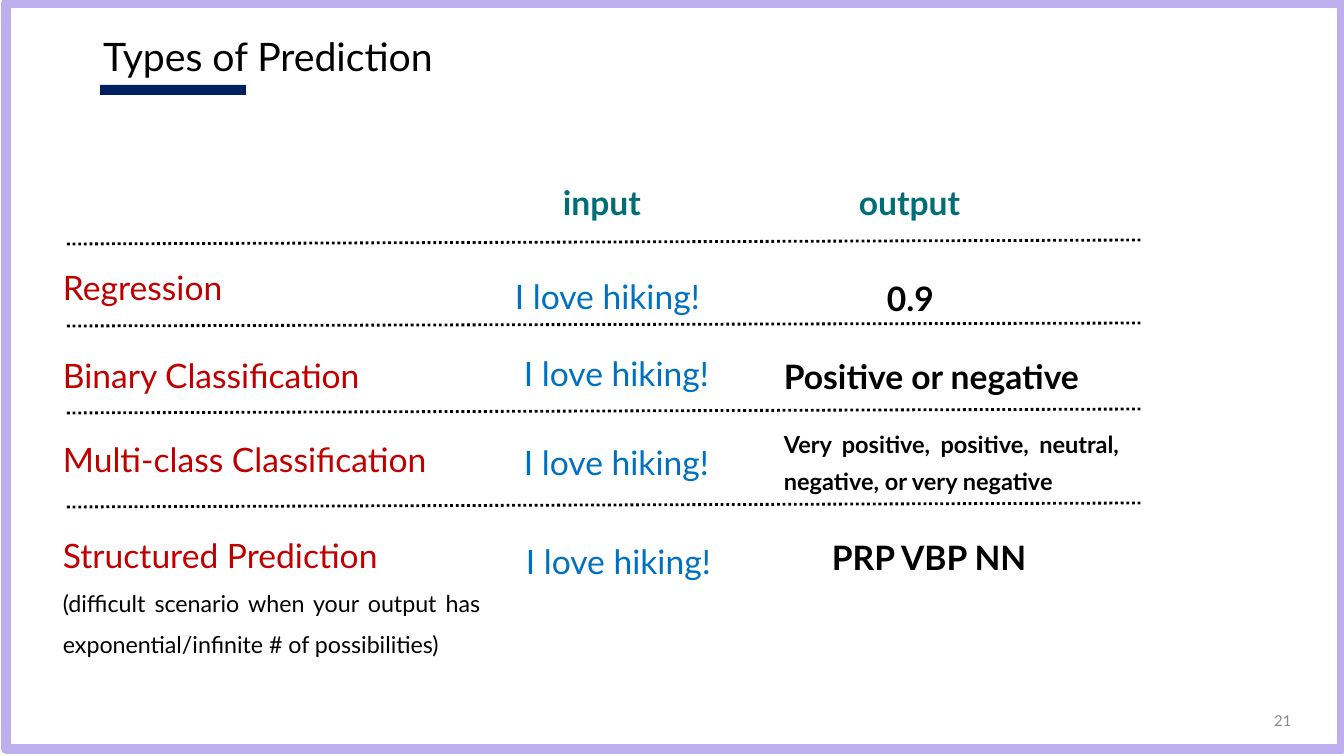
"""Build the "Types of Prediction" slide."""
from lxml.etree import SubElement
from pptx import Presentation
from pptx.dml.color import RGBColor
from pptx.enum.dml import MSO_LINE_DASH_STYLE as DASH
from pptx.enum.shapes import MSO_CONNECTOR, MSO_SHAPE
from pptx.enum.text import MSO_ANCHOR as ANCHOR, PP_ALIGN as ALIGN
from pptx.oxml.ns import qn
from pptx.util import Emu, Pt

PX = 914400 / 100.8
BLACK, WHITE, RED, BLUE, TEAL = "000000", "FFFFFF", "C00000", "0070C0", "006D77"


def px(*lengths):
    return [Emu(round(length * PX)) for length in lengths]


def write(shape, text, size, color, bold=False, align=ALIGN.JUSTIFY, spacing=1.5, font="Lato"):
    shape.text_frame.word_wrap = True
    line = shape.text_frame.paragraphs[0]
    line.text = text
    line.alignment, line.line_spacing = align, spacing
    line.font.name, line.font.size, line.font.bold = font, Pt(size), bold
    line.font.color.rgb = RGBColor.from_string(color)


deck = Presentation()
deck.slide_width, deck.slide_height = px(1344, 756)
slide = deck.slides.add_slide(deck.slide_layouts[5])
shapes = slide.shapes

frame = shapes.add_shape(MSO_SHAPE.RECTANGLE, *px(6, 3, 1336, 746))
frame.line.color.rgb = RGBColor.from_string("BDAFEE")
frame.line.width = Pt(7)
underline = shapes.add_shape(MSO_SHAPE.RECTANGLE, *px(100, 85, 146, 10))
underline.line.fill.background()
for block, color in ((frame, WHITE), (underline, "002060")):
    block.shadow.inherit = False
    block.fill.solid()
    block.fill.fore_color.rgb = RGBColor.from_string(color)

title = shapes.title
title.left, title.top, title.width, title.height = px(93, 33, 451, 70)
title.text_frame.vertical_anchor = ANCHOR.TOP
write(title, "Types of Prediction", 28, BLACK, align=ALIGN.LEFT, spacing=0.9)
shapes._spTree.append(title._element)

page = shapes.add_textbox(*px(999, 700, 302, 40))
page.text_frame.vertical_anchor = ANCHOR.MIDDLE
write(page, "21", 12, "8C8C8C", align=ALIGN.RIGHT, spacing=1.0, font="Calibri")

SENTENCE = "I love hiking!"
cells = [
    (553, 157, 104, "input", TEAL, True),
    (849, 157, 140, "output", TEAL, True),
    (53, 242, 192, "Regression", RED, False),
    (505, 251, 224, SENTENCE, BLUE, False),
    (877, 253, 82, "0.9", BLACK, True),
    (53, 330, 356, "Binary Classification", RED, False),
    (514, 328, 224, SENTENCE, BLUE, False),
    (774, 331, 370, "Positive or negative", BLACK, True),
    (53, 414, 499, "Multi-class Classification", RED, False),
    (514, 417, 224, SENTENCE, BLUE, False),
    (53, 510, 355, "Structured Prediction", RED, False),
    (516, 516, 224, SENTENCE, BLUE, False),
    (822, 512, 224, "PRP VBP NN", BLACK, True),
]
for left, top, width, text, color, bold in cells:
    write(shapes.add_textbox(*px(left, top, width, 76)), text, 24, color, bold)

classes = shapes.add_textbox(*px(774, 417, 355, 83))
write(classes, "Very positive, positive, neutral, negative, or very negative",
      16.8, BLACK, bold=True, spacing=1.3)
difficulty = shapes.add_textbox(*px(53, 570, 437, 94))
write(difficulty, "(difficult scenario when your output has exponential/infinite # of possibilities)",
      16.6, BLACK)

for start, end in ((244, 240), (326, 323), (413, 409), (507, 503)):
    rule = shapes.add_connector(MSO_CONNECTOR.STRAIGHT, *px(67, start, 1143, end))
    rule.line.color.rgb = RGBColor.from_string(BLACK)
    rule.line.width = Pt(2)
    rule.line.dash_style = DASH.ROUND_DOT
    SubElement(rule._element.spPr, qn("a:effectLst"))

deck.save("out.pptx")
